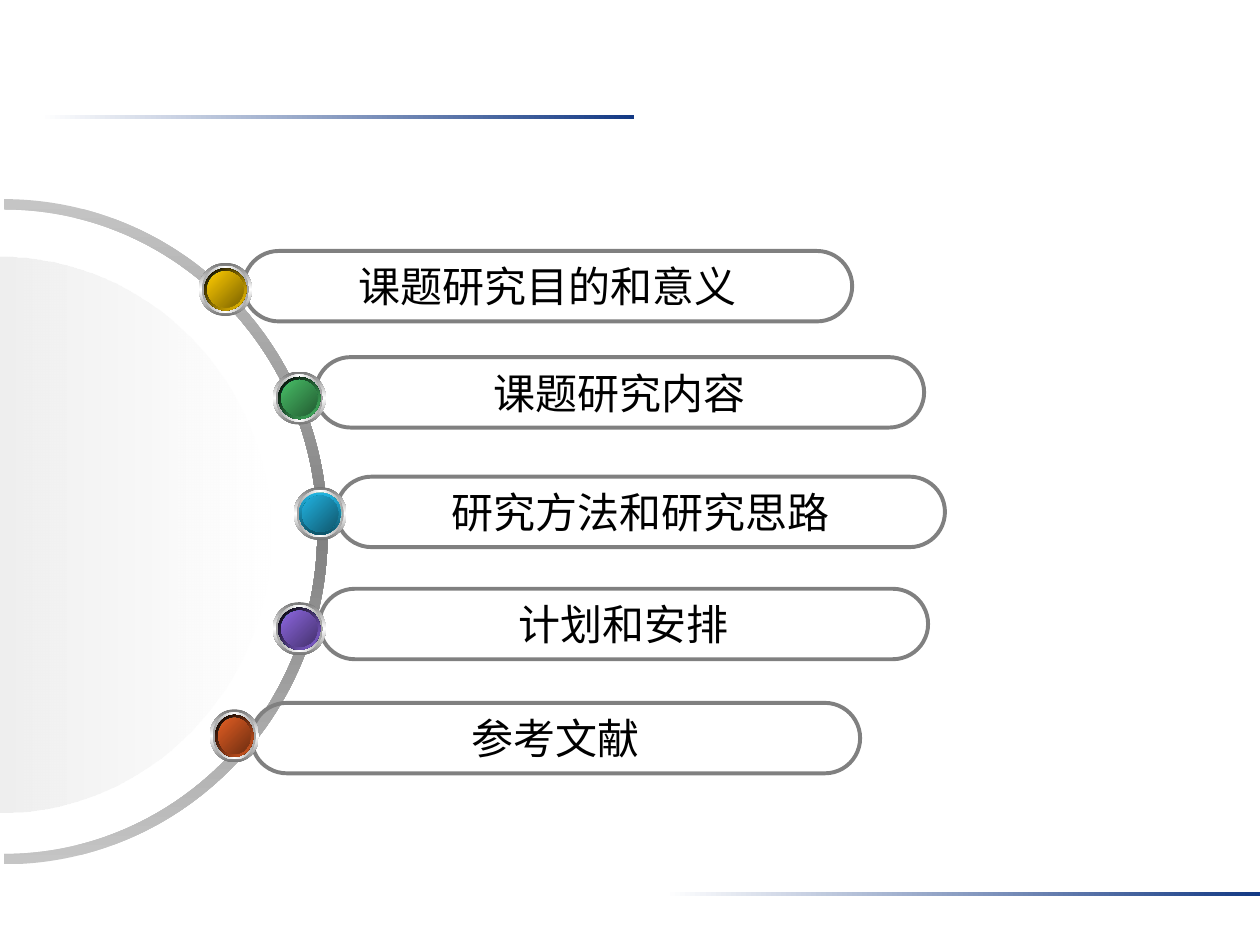
from lxml.etree import SubElement
from pptx import Presentation
from pptx.dml.color import RGBColor
from pptx.enum.shapes import MSO_SHAPE as Preset
from pptx.enum.text import MSO_ANCHOR as Anchor, PP_ALIGN as Align
from pptx.oxml.ns import qn
from pptx.util import Cm, Pt

COLORS = {
    "white": "FFFFFF", "black": "000000", "navy": "133984",
    "gray": "808080", "silver": "C5C5C5", "haze": "C0C0C0",
    "rim": "767676", "ring": "A2A2A2", "teal": "009999", "deep teal": "005353",
    "yellow": "FFCC00", "dark yellow": "7C6300",
    "green": "48BE67", "dark green": "235C32",
    "blue": "21B3E1", "dark blue": "10576D", "blue edge": "0F5368",
    "purple": "8D67E1", "dark purple": "45326D",
    "orange": "E35E23", "dark orange": "6E2E11",
}
TEXT_FORMAT = {"name": "Arial", "size": Pt(24)}
FRAME_FORMAT = {"word_wrap": False, "vertical_anchor": Anchor.MIDDLE}
PILL_SIZE = (12.27, 1.42)
ARC_HANDLE = 0.5523  # Bezier handle length of a quarter circle of radius 1

# topic, pill left and top, ball box, ball colour (all in cm)
TOPICS = [
    ("课题研究目的和意义", (4.91, 5.06), (4.01, 5.3, 1.07, 1.07), "yellow"),
    ("课题研究内容", (6.36, 7.2), (5.5, 7.49, 1.07, 1.07), "green"),
    ("研究方法和研究思路", (6.78, 9.61), (5.92, 9.82, 1.07, 1.07), "blue"),
    ("计划和安排", (6.44, 11.87), (5.5, 12.14, 1.07, 1.07), "purple"),
    ("参考文献", (5.07, 14.17), (4.23, 14.3, 0.99, 1.07), "orange"),
]


def rgb(color):
    return RGBColor.from_string(COLORS[color])


def paint_gradient(shape, colors, angle, alphas=None):
    """Fill with evenly spaced colours; the angle turns clockwise from left-to-right."""
    shape.shadow.inherit = False
    shape.line.fill.background()
    shape.fill.gradient()
    shape.fill.gradient_angle = -angle % 360
    stops = shape._element.spPr.find(qn("a:gradFill")).find(qn("a:gsLst"))
    for stop in list(stops):
        stops.remove(stop)
    for i, color in enumerate(colors):
        position = str(100000 * i // (len(colors) - 1))
        stop = SubElement(stops, qn("a:gs"), pos=position)
        value = SubElement(stop, qn("a:srgbClr"), val=COLORS[color])
        if alphas:
            SubElement(value, qn("a:alpha"), val=str(alphas[i] * 1000))


def add_master_rule(shapes, master, box, rule_id):
    rule = shapes.add_shape(Preset.RECTANGLE, *map(Cm, box))
    paint_gradient(rule, ["white", "navy"], 0)
    rule._element.nvSpPr.cNvPr.set("id", str(rule_id))
    master.shapes._spTree.append(rule._element)


def arch(center, radii):
    """Four-point steps of the upper half ellipse, from left to right."""
    (x, y), (rx, ry) = center, radii
    hx, hy = rx * ARC_HANDLE, ry * ARC_HANDLE
    return [(x - rx, y),
            (x - rx, y - hy), (x - hx, y - ry), (x, y - ry),
            (x + hx, y - ry), (x + rx, y - hy), (x + rx, y)]


def add_arch_shape(shapes, box, arches):
    """Outline through the arches, in a box that is turned to face right."""
    left, top, width, height = box
    corners = [(left, top), (left + width, top),
               (left + width, top + height), (left, top + height)]
    corners = [(Cm(x), Cm(y)) for x, y in corners]
    builder = shapes.build_freeform(*corners[0], scale=1.0)
    builder.add_line_segments(corners[1:], close=True)
    shape = builder.convert_to_shape()
    outline = next(shape._element.iter(qn("a:path")))
    for step in list(outline):
        outline.remove(step)

    def add_step(kind, points):
        step = SubElement(outline, qn("a:" + kind))
        for x, y in points:
            SubElement(step, qn("a:pt"), x=str(Cm(x)), y=str(Cm(y)))

    for i, points in enumerate(arches):
        add_step("lnTo" if i else "moveTo", points[:1])
        add_step("cubicBezTo", points[1:4])
        add_step("cubicBezTo", points[4:])
    SubElement(outline, qn("a:close"))
    shape.rotation = 90
    return shape


def add_dial(shapes, track_box, disc_box, band=0.21):
    """Curved track with a faded half disc inside it."""
    _, _, width, height = track_box
    center, rx, ry = (width / 2, height / 2 - 0.1), width / 2, height / 2 - 0.1
    outer = arch(center, (rx, ry))
    inner = arch(center, (rx - band, ry - band))
    track = add_arch_shape(shapes, track_box, [outer, inner[::-1]])
    paint_gradient(track, ["silver", "gray", "silver"], 0)

    _, _, width, height = disc_box
    half = (width / 2, height / 2)
    disc = add_arch_shape(shapes, disc_box, [arch(half, half)])
    paint_gradient(disc, ["haze", "white"], 270, alphas=[54, 48])


def add_pill(shapes, topic, box):
    pill = shapes.add_shape(Preset.ROUNDED_RECTANGLE, *map(Cm, box))
    pill.adjustments[0] = 0.5
    pill.shadow.inherit = False
    pill.fill.background()
    pill.line.color.rgb = rgb("gray")
    pill.line.width = Pt(2.25)
    frame = pill.text_frame
    for key, value in FRAME_FORMAT.items():
        setattr(frame, key, value)
    paragraph = frame.paragraphs[0]
    paragraph.alignment = Align.CENTER
    run = paragraph.add_run()
    run.text = topic
    for key, value in TEXT_FORMAT.items():
        setattr(run.font, key, value)
    run.font.color.rgb = rgb("black")


def add_ball(shapes, color, box):
    """Glossy ball: nested ellipses, each inset from the box."""
    left, top, width, height = box
    edge = (["blue", "blue edge"], 90) if color == "blue" else (["black", color], 45)
    layers = [
        (0, ["rim", "white", "rim"], 90),
        (0.06, ["ring", "white", "ring"], 0),
        (0.11, ["white", "teal", "white"], 45),
        (0.11, *edge),
        (0.17, ["deep teal", "teal", "deep teal"], 315),
        (0.17, [color, "dark " + color], 45),
    ]
    ball = shapes.add_group_shape()
    for inset, colors, angle in layers:
        layer_box = (left + inset, top + inset, width - 2 * inset, height - 2 * inset)
        layer = ball.shapes.add_shape(Preset.OVAL, *map(Cm, layer_box))
        paint_gradient(layer, colors, angle)


def add_agenda(shapes):
    add_dial(shapes, (-6.73, 4.09, 13.41, 13.26), (-5.61, 5.31, 11.2, 10.92))
    for topic, corner, _, _ in reversed(TOPICS):
        add_pill(shapes, topic, corner + PILL_SIZE)
    for _, _, ball_box, color in TOPICS:
        add_ball(shapes, color, ball_box)


def main():
    deck = Presentation()
    deck.slide_width, deck.slide_height = Cm(25.4), Cm(19.05)
    shapes = deck.slides.add_slide(deck.slide_layouts[6]).shapes
    rule_boxes = [(0.8, 2.32, 11.99, 0.08), (13.41, 17.99, 11.99, 0.08)]
    for rule_id, rule_box in enumerate(rule_boxes, start=101):
        add_master_rule(shapes, deck.slide_master, rule_box, rule_id)
    add_agenda(shapes)
    deck.save("out.pptx")


if __name__ == "__main__":
    main()
